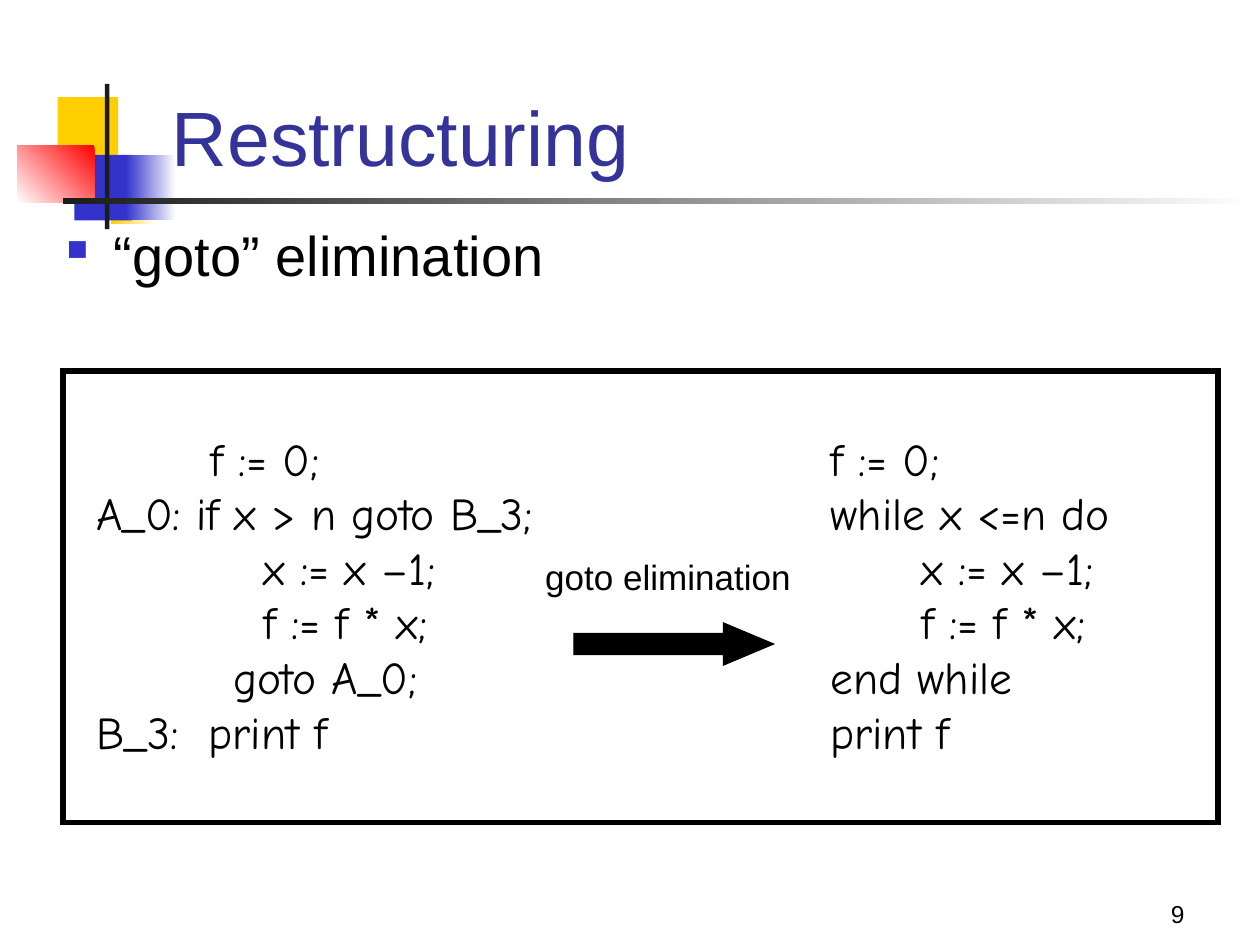
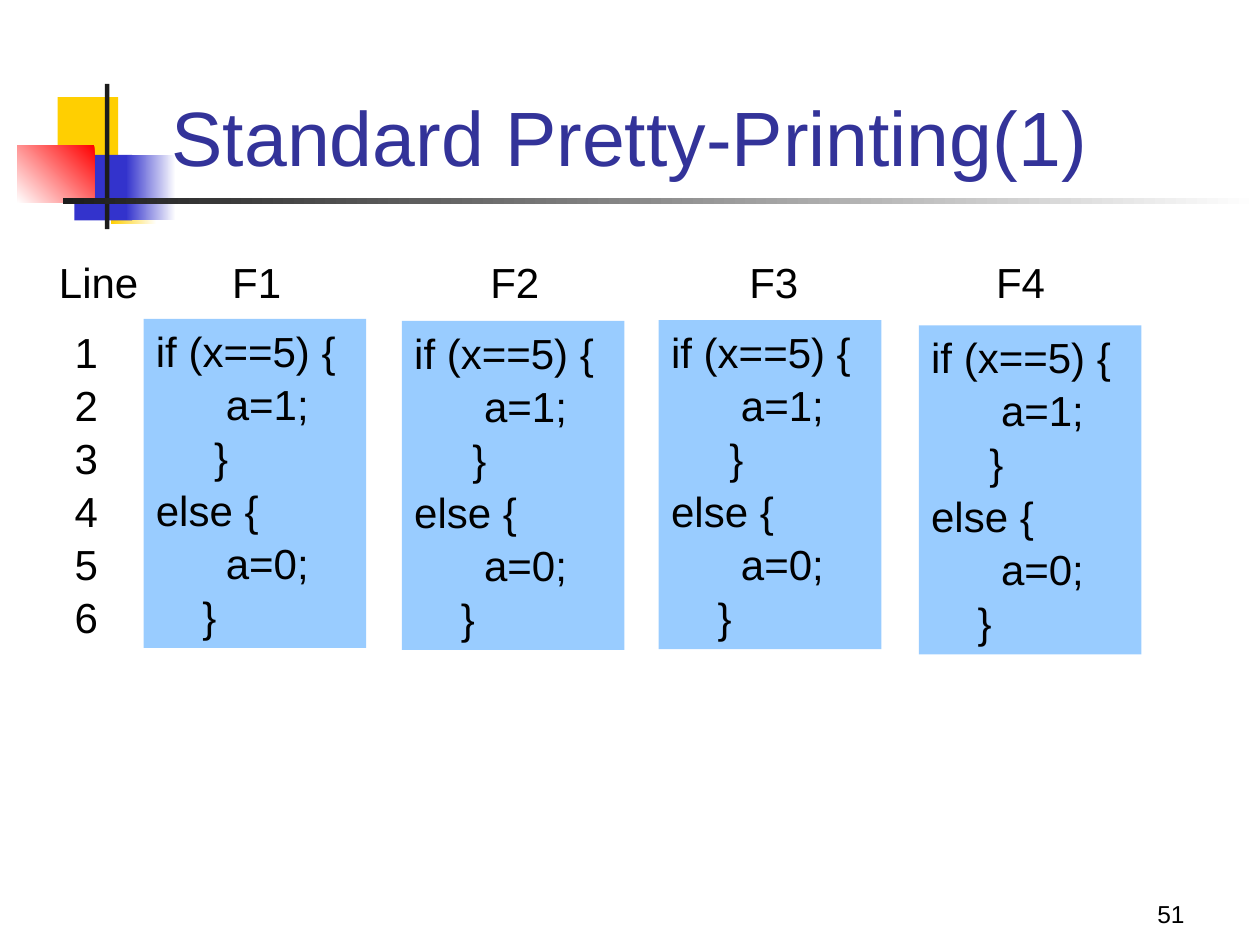
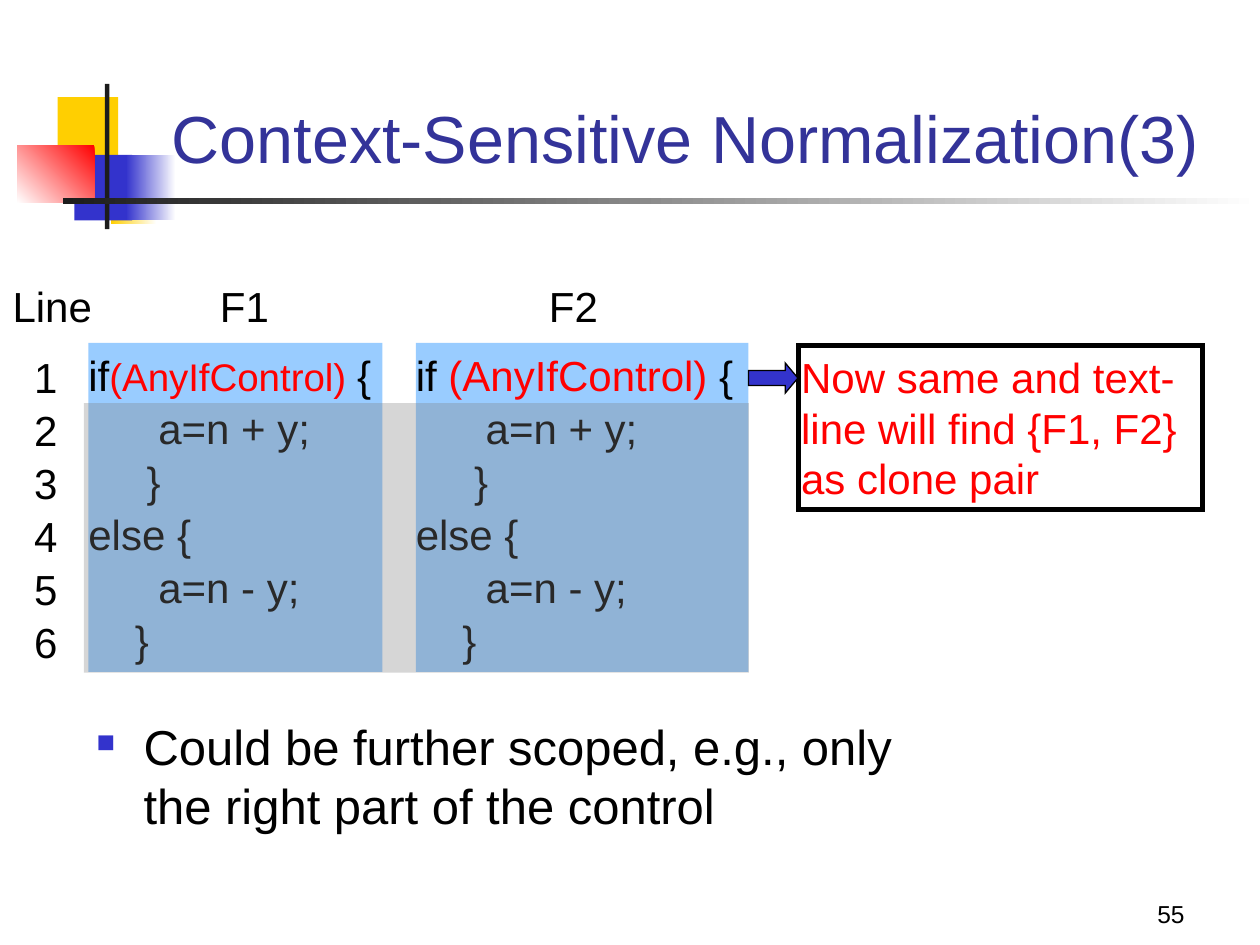
import pptx
import pptx.util
import pptx.dml.color
import pptx.enum.shapes
import pptx.enum.text
import pptx.oxml.ns
import lxml.etree

Pt = pptx.util.Pt
KIND = pptx.enum.shapes.MSO_SHAPE
ALIGN = pptx.enum.text.PP_ALIGN
ANCHOR = pptx.enum.text.MSO_ANCHOR

BLACK, WHITE, RED = "000000", "FFFFFF", "FF0000"
GOLD, BLUE, NAVY = "FFCF01", "3333CC", "333399"
DARK, SKY, GRAY = "1C1C1C", "99CCFF", "808080"

BAND = [  # left, top, width, height, fill, angle
    (33, 55.5, 34.5, 37.5, GOLD, 0),
    (63.5, 90.5, 26, 37.5, (WHITE, GOLD), 180),
    (42.5, 88.5, 33, 37.5, BLUE, 0),
    (72, 88.5, 28.5, 37.5, (WHITE, BLUE), 180),
    (10, 83, 44, 33, (RED, WHITE), 225),
    (60, 48, 2.5, 83, DARK, 0),
    (36, 113, 684, 3.6, (WHITE, DARK), 180),
]
STEP = 1.5  # space between code lines
NUMS = list("123456")


def color(code):
    return pptx.dml.color.RGBColor.from_string(code)


def child(node, tag, **attrs):
    return lxml.etree.SubElement(node, pptx.oxml.ns.qn("a:" + tag), attrs)


def branch(head, first, second):
    """Six code lines: the test, then both arms with the given values."""
    return [head, f"      a={first};", "     }", "else {",
            f"      a={second};", "    }"]


def write(shape, lines, size=24, font="Arial", ink=BLACK, align=ALIGN.LEFT,
          anchor=ANCHOR.TOP, side=7.2, before=0, wrap=True, bullet=False,
          tabs=()):
    """Fill a shape; a line is a string or a list of (text, changes) runs."""
    frame = shape.text_frame
    frame.word_wrap = wrap
    frame.vertical_anchor = anchor
    frame.margin_left = frame.margin_right = Pt(side)
    frame.margin_top = frame.margin_bottom = Pt(3.6)
    for num, runs in enumerate(lines):
        para = frame.add_paragraph() if num else frame.paragraphs[0]
        props = para._p.get_or_add_pPr()
        if bullet:
            props.set("marL", str(Pt(27)))
            props.set("indent", str(-Pt(27)))
            child(child(props, "buClr"), "srgbClr", val=BLUE)
            child(props, "buSzPct", val="52000")
            child(props, "buChar", char="■")
        if tabs:
            stops = child(props, "tabLst")
            for spot in tabs:
                child(stops, "tab", pos=str(Pt(spot)), algn="l")
        para.alignment = align
        if num and before:
            para.space_before = Pt(before)
        for text, change in [(runs, {})] if isinstance(runs, str) else runs:
            run = para.add_run()
            run.text = text
            look = {"size": size, "font": font, "ink": ink, **change}
            run.font.size = Pt(look["size"])
            run.font.name = look["font"]
            run.font.color.rgb = color(look["ink"])


class Deck:
    """Holds the shared style and the slide being built."""

    def __init__(self):
        self.show = pptx.Presentation()
        self.show.slide_width, self.show.slide_height = Pt(720), Pt(540)
        self.slide = None

    def start(self, title, page, size=44, base=107.5):
        """Add a slide with its band, page number and title ending at base."""
        self.slide = self.show.slides.add_slide(self.show.slide_layouts[6])
        for *at, fill, angle in BAND:
            self.shape(at, fill, angle=angle)
        self.text((534, 498, 150, 36), [page], size=14, align=ALIGN.RIGHT,
                  anchor=ANCHOR.BOTTOM)
        self.text((91, base - 98, 613, 98), [title], size=size, ink=NAVY,
                  anchor=ANCHOR.BOTTOM)

    def shape(self, at, fill=None, edge=None, width=0.75, kind=KIND.RECTANGLE,
              angle=0, alpha=None):
        item = self.slide.shapes.add_shape(kind, *map(Pt, at))
        item.shadow.inherit = False
        if fill is None:
            item.fill.background()
        elif isinstance(fill, tuple):
            item.fill.gradient()
            item.fill.gradient_angle = angle
            for stop, code in zip(item.fill.gradient_stops, fill):
                stop.color.rgb = color(code)
        else:
            item.fill.solid()
            item.fill.fore_color.rgb = color(fill)
        if alpha:
            tint = item._element.spPr.find(".//" + pptx.oxml.ns.qn("a:srgbClr"))
            child(tint, "alpha", val=str(alpha * 1000))
        if edge:
            item.line.color.rgb = color(edge)
            item.line.width = Pt(width)
            edging = item._element.spPr.find(pptx.oxml.ns.qn("a:ln"))
            child(edging, "miter", lim="800000")
        else:
            item.line.fill.background()
        return item

    def text(self, at, lines, **form):
        write(self.slide.shapes.add_textbox(*map(Pt, at)), lines, **form)

    def block(self, at, lines, side=7.2):
        write(self.shape(at, SKY), lines, before=STEP, side=side)

    def arrow(self, at, fill, tip):
        item = self.shape(at, fill, BLACK, kind=KIND.RIGHT_ARROW)
        item.adjustments[0], item.adjustments[1] = 0.5, tip

    def point(self, at, text, size):
        self.text(at, [text], size=size, bullet=True)

    def heads(self, at, names, tabs):
        """Column heads on one line, set apart by tab stops."""
        self.text(at, ["\t".join(names)], tabs=tabs, side=0)

    def count(self, left, top):
        self.text((left, top, 31, 188), NUMS, side=0, before=STEP)


def goto(deck):
    deck.start("Restructuring", "9")
    deck.point((31, 122.4, 669, 363), "“goto” elimination", 32)
    old = [
        [("          ", {"font": "Times New Roman"}), ("f := 0;", {})],
        "A_0: if x > n goto B_3;",
        "           x := x –1;",
        "           f := f * x;",
        "         goto A_0;",
        "B_3:  print f",
    ]
    new = ["f := 0;", "while x <=n do", "      x := x –1;",
           "      f := f * x;", "end while", "print f"]
    for left, width, code in ((48, 295, old), (467.5, 210, new)):
        deck.text((left, 242.6, width, 194.4), code, size=26,
                  font="Comic Neue")
    deck.shape((36, 212, 660, 258), edge=BLACK, width=3)
    deck.arrow((328, 356, 114, 24), BLACK, 1.19)
    deck.text((304.5, 314, 155, 32), ["goto elimination"], size=20,
              wrap=False)


def pretty(deck):
    deck.start("Standard Pretty-Printing(1)", "51")
    deck.heads((33.7, 143.3, 648, 36), ["Line", "F1", "F2", "F3", "F4"],
               (99, 246.5, 394.5, 535.5))
    deck.count(42.7, 183)
    for left, top in ((82, 182.2), (229.6, 183.4), (376.4, 183), (525, 186)):
        deck.block((left, top, 127.2, 188), branch("if (x==5) {", 1, 0))


def context(deck):
    deck.start("Context-Sensitive Normalization(3)", "55", size=38, base=104.4)
    deck.heads((7.2, 157, 376, 65), ["Line", "F1", "F2"], (118.5, 306.5))
    deck.count(19.6, 197.4)
    tests = (
        (50.5, 168, [("if", {}), ("(AnyIfControl) ", {"size": 22, "ink": RED}),
                     ("{", {})]),
        (237.6, 190, [("if ", {}), ("(AnyIfControl)", {"ink": RED}),
                      (" {", {})]),
    )
    for left, width, head in tests:
        deck.block((left, 196, width, 188),
                   branch(head, "n + y", "n - y"), side=0)
    deck.point((48, 406, 482, 122),
               "Could be further scoped, e.g., only the right part of the control",
               28)
    note = deck.shape((456.3, 197.4, 231, 93.6), edge=BLACK, width=3)
    write(note, ["Now same and text-line will find {F1, F2} as clone pair"],
          ink=RED, side=1.5)
    deck.shape((48, 230.4, 380, 154), GRAY, alpha=32)
    deck.arrow((427.7, 207.4, 28.3, 17.3), BLUE, 0.42)


def main():
    deck = Deck()
    for build in (goto, pretty, context):
        build(deck)
    deck.show.save("out.pptx")


if __name__ == "__main__":
    main()
